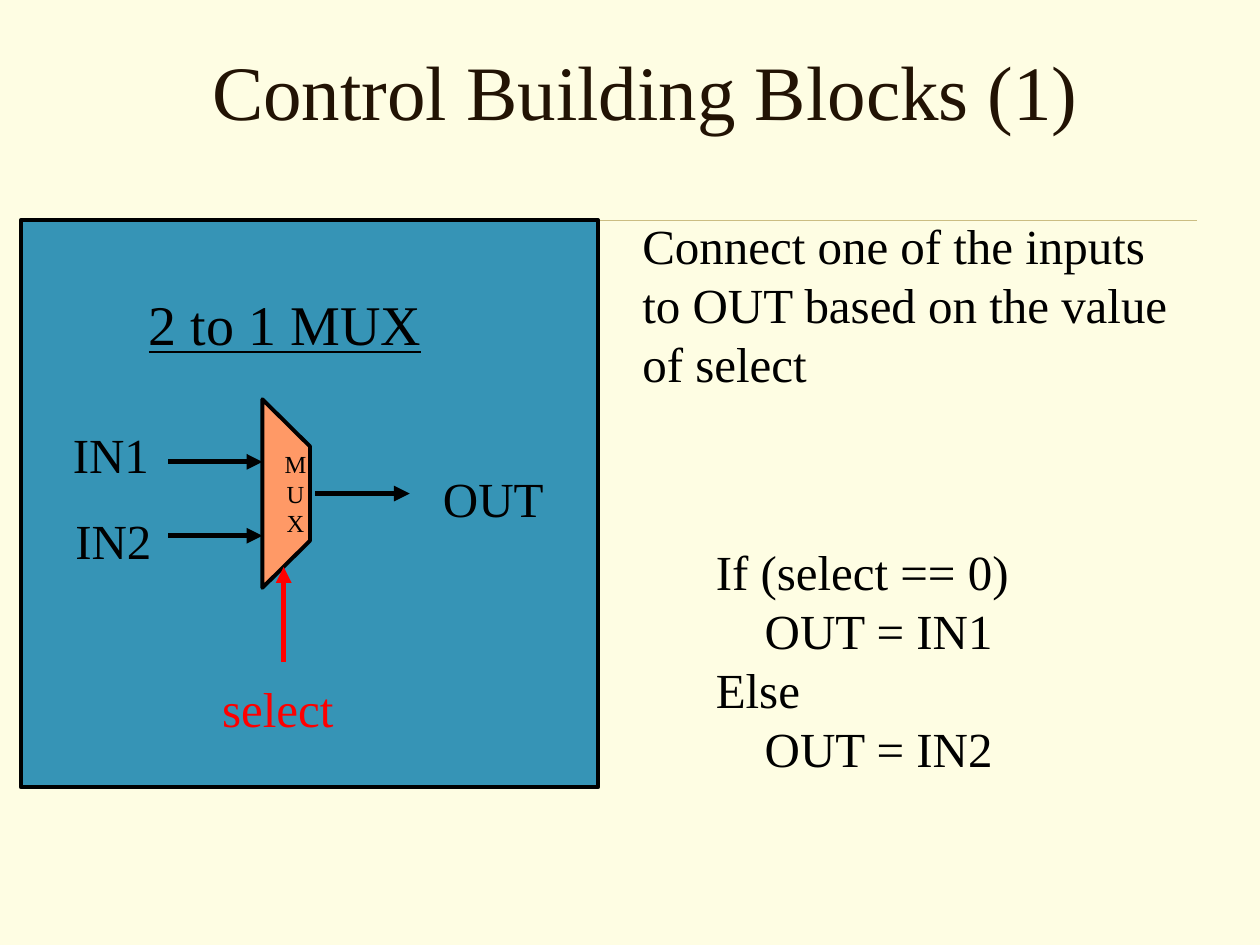
"""Build the slide on control building blocks: a 2 to 1 multiplexer."""
from lxml import etree
from pptx import Presentation
from pptx.dml.color import RGBColor
from pptx.enum import shapes, text
from pptx.oxml.ns import qn
from pptx.util import Cm, Pt

COLORS = {
    "background": "FEFDE3", "rule": "CBBD83", "title": "221304",
    "panel": "3694B6", "mux": "FF9966", "ink": "000000", "select": "FF0000",
}
BODY = {"size": Pt(28), "name": "Times New Roman"}


def write(shape, lines, color, frame_format, font_format, alignment=text.PP_ALIGN.LEFT):
    frame = shape.text_frame
    for name, value in frame_format.items():
        setattr(frame, name, value)
    frame.text = "\n".join(lines)
    for paragraph in frame.paragraphs:
        paragraph.alignment = alignment
        for name, value in font_format.items():
            setattr(paragraph.font, name, value)
        paragraph.font.color.rgb = RGBColor.from_string(COLORS[color])


def draw_line(start, end, color, width, arrow=True):
    points = [Cm(value) for value in (*start, *end)]
    connector = slide.shapes.add_connector(shapes.MSO_CONNECTOR.STRAIGHT, *points)
    connector.line.color.rgb = RGBColor.from_string(COLORS[color])
    connector.line.width = Pt(width)
    if arrow:
        etree.SubElement(connector.line._get_or_add_ln(), qn("a:tailEnd"), type="triangle")
    etree.SubElement(connector._element.spPr, qn("a:effectLst"))


presentation = Presentation()
presentation.slide_width, presentation.slide_height = Cm(25.4), Cm(19.05)
slide = presentation.slides.add_slide(presentation.slide_layouts[6])
slide.background.fill.solid()
slide.background.fill.fore_color.rgb = RGBColor.from_string(COLORS["background"])

draw_line((2.82, 4.44), (24.13, 4.44), "rule", 0.25, arrow=False)

panel = slide.shapes.add_shape(
    shapes.MSO_SHAPE.RECTANGLE, Cm(0.42), Cm(4.44), Cm(11.64), Cm(11.43))
outline = slide.shapes.build_freeform(529, 1185, scale=Cm(0.01))
outline.add_line_segments([(625, 1090), (625, 900), (529, 805)], close=True)
mux = outline.convert_to_shape()
for shape, color in ((panel, "panel"), (mux, "mux")):
    shape.shadow.inherit = False
    shape.fill.solid()
    shape.fill.fore_color.rgb = RGBColor.from_string(COLORS[color])
    shape.line.color.rgb = RGBColor.from_string(COLORS["ink"])
    shape.line.width = Pt(2.25)

mux_frame = {
    "word_wrap": False, "vertical_anchor": text.MSO_ANCHOR.MIDDLE,
    "margin_left": Cm(0.38), "margin_right": 0, "margin_top": 0, "margin_bottom": 0,
}
write(mux, ["M", "U", "X"], "ink", mux_frame, BODY | {"size": Pt(14)},
      text.PP_ALIGN.CENTER)

title = slide.shapes.add_textbox(Cm(1.48), Cm(0.21), Cm(23.07), Cm(3.18))
title_frame = {"word_wrap": True, "vertical_anchor": text.MSO_ANCHOR.MIDDLE}
write(title, ["Control Building Blocks (1)"], "title", title_frame,
      BODY | {"size": Pt(44)}, text.PP_ALIGN.CENTER)

arrows = [
    ((3.39, 9.31), (5.29, 9.31), "ink"),
    ((3.39, 10.8), (5.29, 10.8), "ink"),
    ((6.35, 9.95), (8.26, 9.95), "ink"),
    ((5.72, 13.34), (5.72, 11.43), "select"),
]
for start, end, color in arrows:
    draw_line(start, end, color, 3)

label_frame = {"word_wrap": False, "auto_size": text.MSO_AUTO_SIZE.SHAPE_TO_FIT_TEXT}
heading_font = {"size": Pt(32), "underline": True}
labels = [
    (2.75, 5.72, 6.1, 1.6, ["2 to 1 MUX"], "ink", heading_font),
    (1.22, 8.43, 2.1, 1.45, ["IN1"], "ink", {}),
    (1.27, 10.16, 2.1, 1.45, ["IN2"], "ink", {}),
    (4.23, 13.55, 2.85, 1.45, ["select"], "select", {}),
    (8.68, 9.32, 2.6, 1.45, ["OUT"], "ink", {}),
    (14.18, 10.8, 6.5, 5, ["If (select == 0)", "    OUT = IN1", "Else", "    OUT = IN2"],
     "ink", {}),
    (12.7, 4.23, 11.13, 3.81,
     ["Connect one of the inputs", "to OUT based on the value", "of select"], "ink", {}),
]
for left, top, width, height, lines, color, font_format in labels:
    label = slide.shapes.add_textbox(Cm(left), Cm(top), Cm(width), Cm(height))
    write(label, lines, color, label_frame, BODY | font_format)

presentation.save("out.pptx")
